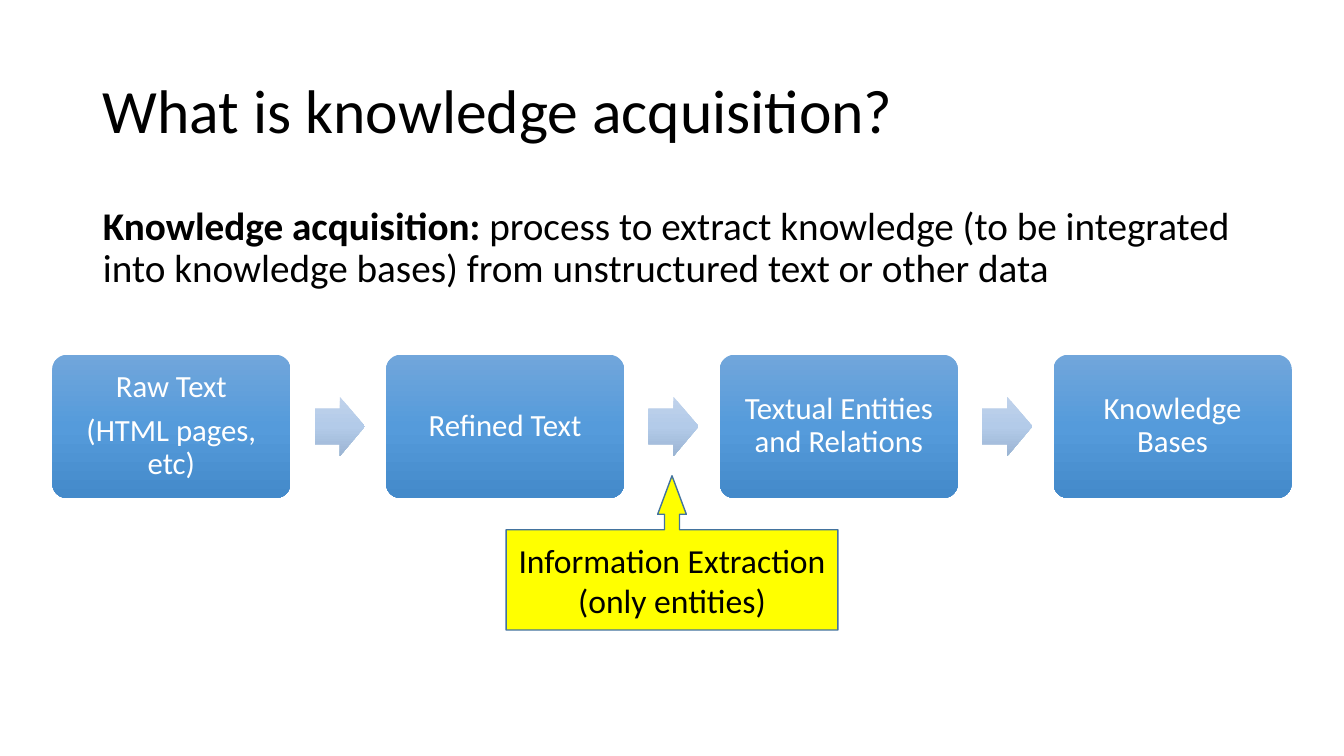
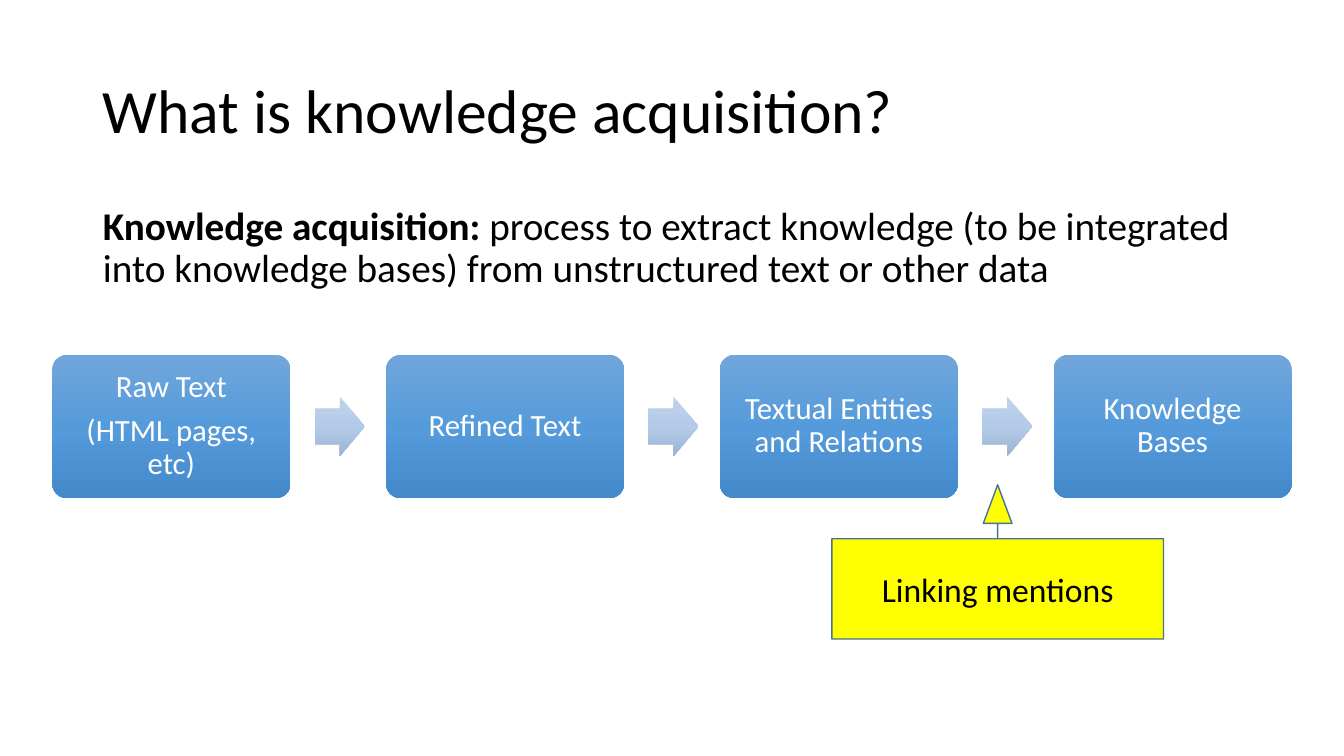
from copy import deepcopy
from dataclasses import dataclass

from pptx import Presentation
from pptx.dml.color import RGBColor
from pptx.enum.shapes import MSO_SHAPE as Kind
from pptx.enum.text import MSO_ANCHOR as Anchor, MSO_AUTO_SIZE as Fit, PP_ALIGN as Align
from pptx.oxml.ns import qn
from pptx.oxml.xmlchemy import OxmlElement
from pptx.shapes.autoshape import Shape
from pptx.slide import Slide
from pptx.text.text import TextFrame
from pptx.util import Inches, Pt

FONT = "Calibri"
BLACK, WHITE, YELLOW, EDGE = "000000", "FFFFFF", "FFFF00", "43739E"
BLUE = ("71A6DB", "559BDB", "448ACA")
PALE = ("C0D2EB", "B3CBE9", "9BB4D3")

TITLE = "What is knowledge acquisition?"
LEAD = "Knowledge acquisition: "
BODY = (
    "process to extract knowledge (to be integrated into knowledge bases) "
    "from unstructured text or other data"
)
STEPS = (
    ("Raw Text", "(HTML pages, etc)"),
    ("Refined Text",),
    ("Textual Entities and Relations",),
    ("Knowledge Bases",),
)
LEFT, TOP, WIDE, HIGH, PITCH = 0.52, 3.52, 2.36, 1.42, 3.31
GAP, HEAD, TALL = 0.24, 0.5, 0.59


@dataclass(frozen=True)
class Box:
    left: float
    top: float
    width: float
    height: float


@dataclass(frozen=True)
class Note:
    text: str
    left: float
    top: float
    stem: float


NOTES = (
    Note("Information Extraction (only entities)", 5.02, 4.72, 0.097),
    Note("Linking mentions", 8.25, 4.81, 0),
)


def rgb(code: str) -> RGBColor:
    return RGBColor.from_string(code)


def write(frame: TextFrame, *lines: str, lead: str = "", size: float = 24,
          color: str = BLACK, align: Align = Align.LEFT, anchor: Anchor = Anchor.MIDDLE,
          space: float = 0.9, after: float = 0, plain: bool = False) -> None:
    frame.word_wrap = True
    frame.auto_size = Fit.NONE
    frame.vertical_anchor = anchor
    for i, line in enumerate(lines):
        para = frame.add_paragraph() if i else frame.paragraphs[0]
        if plain:
            props = para._p.get_or_add_pPr()
            props.set("marL", "0")
            props.set("indent", "0")
            props.append(OxmlElement("a:buNone"))
        para.alignment = align
        para.line_spacing = space
        para.space_before = Pt(0)
        para.space_after = Pt(after)
        for text, bold in ((lead, True), (line, False)):
            if text:
                run = para.add_run()
                run.text = text
                run.font.name = FONT
                run.font.size = Pt(size)
                run.font.bold = bold
                run.font.color.rgb = rgb(color)


def place(shape: Shape, box: Box) -> None:
    shape.left, shape.top = Inches(box.left), Inches(box.top)
    shape.width, shape.height = Inches(box.width), Inches(box.height)


def draw(slide: Slide, kind: Kind, box: Box, *adjust: float) -> Shape:
    shape = slide.shapes.add_shape(kind, 0, 0, 0, 0)
    place(shape, box)
    shape.shadow.inherit = False
    shape.line.fill.background()
    for i, value in enumerate(adjust):
        shape.adjustments[i] = value
    return shape


def shade(shape: Shape, colors: tuple[str, ...]) -> None:
    fill = shape.fill
    fill.gradient()
    fill.gradient_angle = 270
    stops = shape._element.spPr.find(qn("a:gradFill")).find(qn("a:gsLst"))
    stops.append(deepcopy(stops[0]))
    for i, (stop, code) in enumerate(zip(fill.gradient_stops, colors)):
        stop.position = i / 2
        stop.color.rgb = rgb(code)


def flow(slide: Slide) -> None:
    for i, lines in enumerate(STEPS):
        left = LEFT + i * PITCH
        step = draw(slide, Kind.ROUNDED_RECTANGLE, Box(left, TOP, WIDE, HIGH), 0.1)
        shade(step, BLUE)
        frame = step.text_frame
        frame.margin_left = frame.margin_right = Inches(0.09)
        frame.margin_top = frame.margin_bottom = Inches(0.09)
        write(frame, *lines, size=22, color=WHITE, align=Align.CENTER, after=7.7)
        if i < len(STEPS) - 1:
            spot = Box(left + WIDE + GAP, TOP + (HIGH - TALL) / 2, HEAD, TALL)
            shade(draw(slide, Kind.RIGHT_ARROW, spot, 0.6, 0.5), PALE)


def point(slide: Slide, note: Note) -> None:
    shape = draw(slide, Kind.UP_ARROW_CALLOUT, Box(note.left, note.top, 3.29, 1.53),
                 note.stem, 0.093, 0.25, 0.65)
    shape.fill.solid()
    shape.fill.fore_color.rgb = rgb(YELLOW)
    shape.line.color.rgb = rgb(EDGE)
    shape.line.width = Pt(1)
    write(shape.text_frame, note.text, align=Align.CENTER, space=1)


def main() -> None:
    deck = Presentation()
    deck.slide_width, deck.slide_height = Inches(13.33), Inches(7.5)
    for note in NOTES:
        slide = deck.slides.add_slide(deck.slide_layouts[1])
        title, body = slide.placeholders
        place(title, Box(0.92, 0.4, 11.5, 1.45))
        write(title.text_frame, TITLE, size=44)
        place(body, Box(0.92, 2, 11.5, 4.76))
        write(body.text_frame, BODY, lead=LEAD, size=28, anchor=Anchor.TOP, plain=True)
        flow(slide)
        point(slide, note)
    deck.save("out.pptx")


if __name__ == "__main__":
    main()
